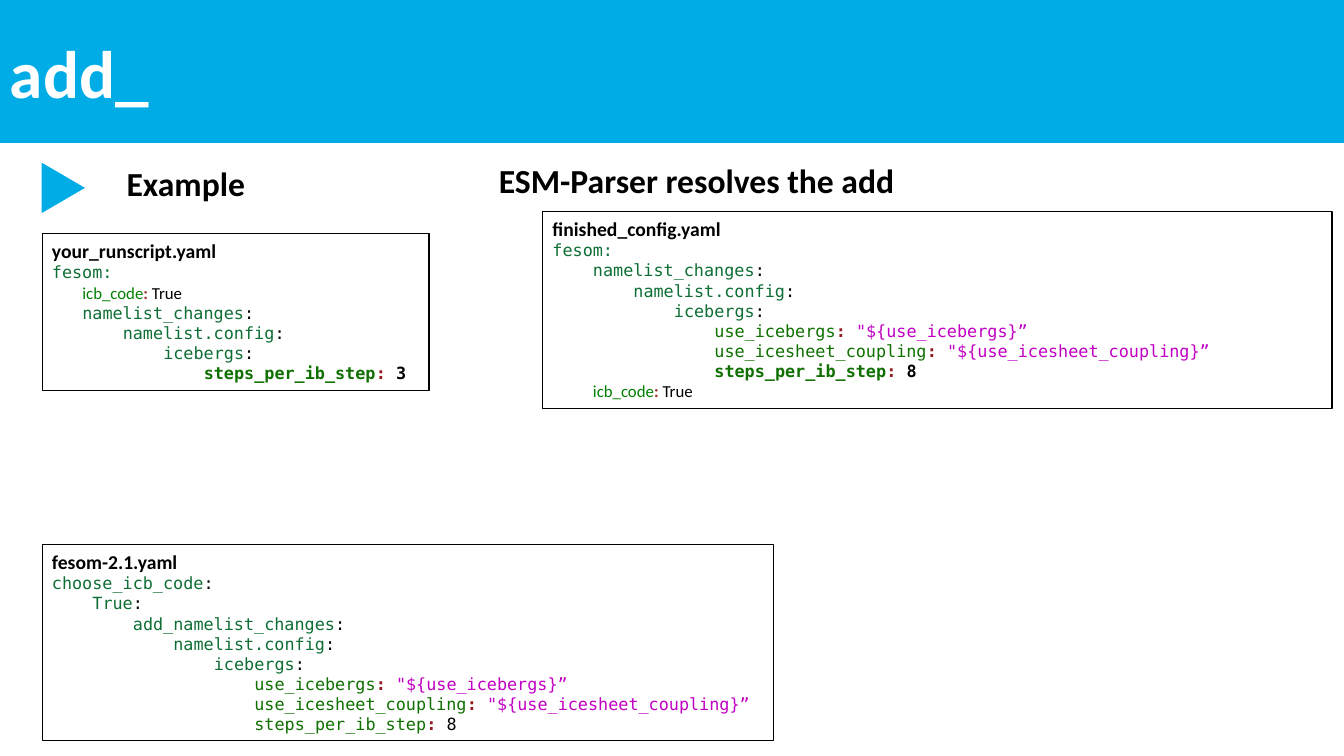
from pptx import Presentation
from pptx.dml.color import RGBColor
from pptx.enum.shapes import MSO_SHAPE
from pptx.enum.text import MSO_ANCHOR, PP_ALIGN
from pptx.util import Cm, Pt

RECTANGLE = MSO_SHAPE.RECTANGLE
TRIANGLE = MSO_SHAPE.ISOSCELES_TRIANGLE
TOP, MIDDLE = MSO_ANCHOR.TOP, MSO_ANCHOR.MIDDLE
LEFT = PP_ALIGN.LEFT

BLUE = RGBColor(0x00, 0xAC, 0xE6)
WHITE = RGBColor(0xFF, 0xFF, 0xFF)
BLACK = RGBColor(0x00, 0x00, 0x00)
SECTION_GREEN = RGBColor(0x0E, 0x6E, 0x35)
SETTING_GREEN = RGBColor(0x0F, 0x70, 0x01)
SWITCH_GREEN = RGBColor(0x00, 0x80, 0x00)
DARK_RED = RGBColor(0x92, 0x1A, 0x20)
BROWN = RGBColor(0xA5, 0x2A, 0x2A)
MAGENTA = RGBColor(0xC1, 0x00, 0xC4)

SANS, MONO = "Calibri", "DejaVu Sans Mono"
CHAR_WIDTH = 0.255  # cm, one 12 pt monospaced character
PAGE_WIDTH, PAGE_HEIGHT = 33.86, 19.05


def add_span(para, text, font=SANS, size=12, color=BLACK, bold=False):
    """Append formatted text to a paragraph."""
    span = para.add_run()
    span.text = text
    span.font.name = font
    span.font.size = Pt(size)
    span.font.color.rgb = color
    span.font.bold = bold


def add_panel(page, box, kind=RECTANGLE, fill=None, line=None, anchor=TOP):
    """Draw a preset shape in box (left, top, width, height in cm)."""
    panel = page.shapes.add_shape(kind, *map(Cm, box))
    panel.shadow.inherit = False
    if fill is None:
        panel.fill.background()
    else:
        panel.fill.solid()
        panel.fill.fore_color.rgb = fill
    if line is None:
        panel.line.fill.background()
    else:
        panel.line.color.rgb = line
        panel.line.width = Pt(0.75)
    panel.text_frame.word_wrap = True
    panel.text_frame.vertical_anchor = anchor
    panel.text_frame.paragraphs[0].alignment = LEFT
    return panel


def section(depth, key, colon_color=BLACK):
    """Return a YAML section line, indented by depth characters."""
    return depth, [(key, dict(font=MONO, color=SECTION_GREEN)),
                   (":", dict(font=MONO, color=colon_color))]


def setting(depth, key, value, color=BLACK, bold=False):
    """Return a YAML key and value line, indented by depth characters."""
    return depth, [(key, dict(font=MONO, color=SETTING_GREEN, bold=bold)),
                   (": ", dict(font=MONO, color=DARK_RED, bold=True)),
                   (value, dict(font=MONO, color=color, bold=bold))]


def switch(depth):
    """Return the line that turns the iceberg code on."""
    return depth, [("icb_code", dict(color=SWITCH_GREEN)),
                   (": ", dict(color=BROWN, bold=True)), ("True", {})]


def namelist(depth, key="namelist_changes"):
    """Return the nested namelist sections, starting at depth."""
    keys = (key, "namelist.config", "icebergs")
    return [section(depth + 4 * level, name) for level, name in enumerate(keys)]


def couplings(depth):
    """Return the two settings that take their value from a variable."""
    return [setting(depth, key, f'"${{{key}}}”', MAGENTA)
            for key in ("use_icebergs", "use_icesheet_coupling")]


def add_code_box(page, box, file_name, lines, fill=None):
    """Draw a framed file listing in box."""
    frame = add_panel(page, box, fill=fill, line=BLACK).text_frame
    add_span(frame.paragraphs[0], file_name, size=14, bold=True)
    for depth, spans in lines:
        para = frame.add_paragraph()
        para.alignment = LEFT
        margins = para._p.get_or_add_pPr()
        margins.set("marL", str(Cm(depth * CHAR_WIDTH)))
        margins.set("indent", "0")
        for text, style in spans:
            add_span(para, text, **style)


def add_banner(page, box, title):
    """Draw the title band across box."""
    banner = add_panel(page, box, fill=BLUE, anchor=MIDDLE)
    add_span(banner.text_frame.paragraphs[0], title, size=48, color=WHITE, bold=True)


def add_heading(page, box, text):
    """Place a bold heading at the top of box."""
    frame = page.shapes.add_textbox(*map(Cm, box)).text_frame
    frame.word_wrap = True
    add_span(frame.paragraphs[0], text, size=24, bold=True)


def add_example(page, box):
    """Place the marker, heading and two input files on the left of box."""
    left, top, width, height = box
    marker = add_panel(page, (left - 0.1, top + 0.28, 1.27, 1.09), TRIANGLE, fill=BLUE)
    marker.rotation = 90
    add_heading(page, (left + 1.88, top + 0.08, 27.97, 4.37), "Example")
    fesom = [section(0, "choose_icb_code"), section(4, "True"),
             *namelist(8, "add_namelist_changes"), *couplings(20),
             setting(20, "steps_per_ib_step", "8")]
    add_code_box(page, (left, top + height - 4.95, width, 4.95), "fesom-2.1.yaml", fesom)
    runscript = [section(0, "fesom", SECTION_GREEN), switch(3), *namelist(3),
                 setting(15, "steps_per_ib_step", "3", bold=True)]
    add_code_box(page, (left, top + 1.98, 9.75, 3.94), "your_runscript.yaml", runscript)


def add_result(page, box):
    """Place the heading and the resolved file in box."""
    left, top, width, height = box
    lines = [section(0, "fesom", SECTION_GREEN), *namelist(4), *couplings(16),
             setting(16, "steps_per_ib_step", "8", bold=True), switch(4)]
    add_code_box(page, (left + 1.35, top + 1.42, width - 1.65, height - 1.42),
                 "finished_config.yaml", lines, fill=WHITE)
    add_heading(page, (left, top, width, 4.37), "ESM-Parser resolves the add")


deck = Presentation()
deck.slide_width, deck.slide_height = Cm(PAGE_WIDTH), Cm(PAGE_HEIGHT)
page = deck.slides.add_slide(deck.slide_layouts[6])
add_banner(page, (0, 0, PAGE_WIDTH, 3.6), "add_")
add_example(page, (1.06, 3.91, 18.42, 14.76))
add_result(page, (12.32, 3.91, 21.54, 6.38))
deck.save("out.pptx")
